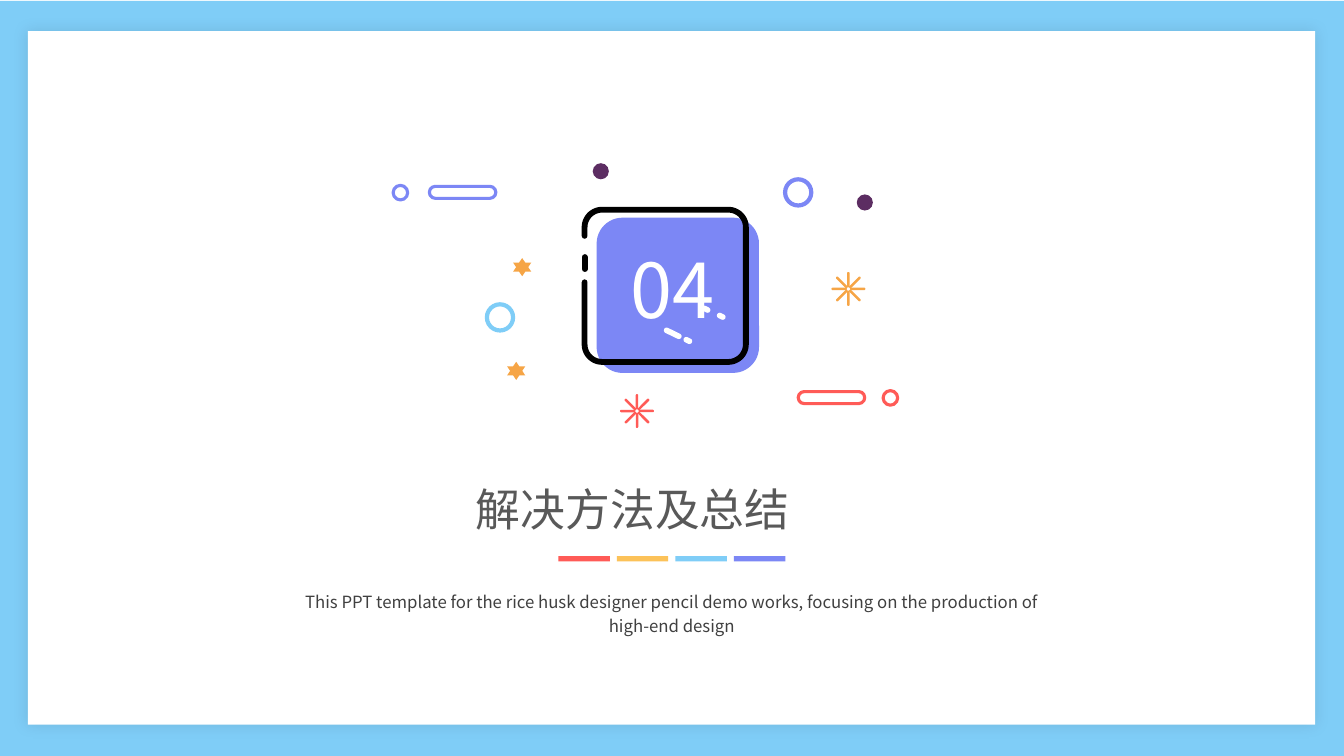
from math import cos, radians, sin

from lxml import etree
from pptx import Presentation
from pptx.dml.color import RGBColor
from pptx.enum.shapes import MSO_CONNECTOR, MSO_SHAPE
from pptx.enum.text import MSO_ANCHOR, MSO_AUTO_SIZE, PP_ALIGN
from pptx.oxml.ns import qn
from pptx.util import Pt

RECTANGLE, ROUNDED = MSO_SHAPE.RECTANGLE, MSO_SHAPE.ROUNDED_RECTANGLE
OVAL, STAR = MSO_SHAPE.OVAL, MSO_SHAPE.STAR_6_POINT
STRAIGHT = MSO_CONNECTOR.STRAIGHT
LEFT, CENTER = PP_ALIGN.LEFT, PP_ALIGN.CENTER
TOP, NO_FIT = MSO_ANCHOR.TOP, MSO_AUTO_SIZE.NONE

FONT = "Noto Sans CJK SC"
WHITE = RGBColor(0xFF, 0xFF, 0xFF)
BLACK = RGBColor(0x00, 0x00, 0x00)
SKY = RGBColor(0x7F, 0xCD, 0xF7)
VIOLET = RGBColor(0x7C, 0x87, 0xF5)
RED = RGBColor(0xFF, 0x5B, 0x57)
ORANGE = RGBColor(0xF6, 0xA5, 0x46)
YELLOW = RGBColor(0xFC, 0xC2, 0x59)
PLUM = RGBColor(0x5C, 0x2D, 0x62)
TITLE_GRAY = RGBColor(0x59, 0x59, 0x59)
BODY_GRAY = RGBColor(0x40, 0x40, 0x40)


def add_figure(page, kind, box, fill=None, line=None, width=1, rotation=0, round_ends=False):
    figure = page.shapes.add_shape(kind, *map(Pt, box))
    figure.shadow.inherit = False
    figure.rotation = rotation
    if round_ends:
        figure.adjustments[0] = 0.5
    if fill is None:
        figure.fill.background()
    else:
        figure.fill.solid()
        figure.fill.fore_color.rgb = fill
    if line is None:
        figure.line.fill.background()
    else:
        figure.line.color.rgb = line
        figure.line.width = Pt(width)
    return figure


def write_text(shape, box, text, size, color, align=LEFT, spacing=1.0):
    shape.left, shape.top, shape.width, shape.height = map(Pt, box)
    frame = shape.text_frame
    frame.word_wrap = True
    frame.auto_size = NO_FIT
    frame.vertical_anchor = TOP
    para = frame.paragraphs[0]
    para.alignment = align
    para.line_spacing = spacing
    para.space_before = Pt(0)
    span = para.add_run()
    span.text = text
    span.font.size = Pt(size)
    span.font.bold = False
    span.font.color.rgb = color
    span.font.name = FONT
    etree.SubElement(span.font._element, qn("a:ea"), typeface=FONT)


def add_frame(page, box):
    left, top, width, height = box
    add_figure(page, RECTANGLE, box, SKY)
    panel = add_figure(page, RECTANGLE, (left + 20, top + 21.6, width - 40.5, height - 44), WHITE)
    effects = panel._element.spPr.find(qn("a:effectLst"))
    shadow = etree.SubElement(effects, qn("a:outerShdw"), blurRad=str(Pt(10)), algn="ctr", rotWithShape="0")
    tint = etree.SubElement(shadow, qn("a:srgbClr"), val="000000")
    etree.SubElement(tint, qn("a:alpha"), val="10000")


def style_stroke(stroke):
    stroke.line.color.rgb = BLACK
    stroke.line.width = Pt(4.13)
    stroke.line._ln.set("cap", "rnd")


def add_stroke(page, start, end):
    stroke = page.shapes.add_connector(STRAIGHT, *map(Pt, start + end))
    style_stroke(stroke)
    etree.SubElement(stroke._element.spPr, qn("a:effectLst"))


def add_outline(page, box, radius=12.5):
    left, top, width, height = box
    right, bottom = left + width, top + height
    corners = [
        (left + radius, bottom - radius, 180),
        (right - radius, bottom - radius, 90),
        (right - radius, top + radius, 0),
        (left + radius, top + radius, -90),
    ]
    points = [
        (x + radius * cos(radians(start - step)), y + radius * sin(radians(start - step)))
        for x, y, start in corners
        for step in range(0, 91, 6)
    ]
    points.append((left, top + 18.7))
    builder = page.shapes.build_freeform(Pt(left), Pt(top + 51.8))
    builder.add_line_segments([(Pt(x), Pt(y)) for x, y in points], close=False)
    outline = builder.convert_to_shape()
    outline.shadow.inherit = False
    outline.fill.background()
    style_stroke(outline)
    add_stroke(page, (left, top + 33.8), (left, top + 42.4))
    add_stroke(page, (left + 59, bottom), (left + 79.2, bottom))


def add_badge(page, box, number):
    left, top, width, height = box
    add_figure(page, ROUNDED, box, VIOLET)
    add_outline(page, (left - 8.6, top - 5.7, 115.2, 108.7))
    label = page.shapes.add_textbox(0, 0, 0, 0)
    write_text(label, (left + 17.3, top + 14.4, 82.8, 72.7), number, 54, WHITE)
    for x, y, length in [(74.9, 63.4, 6.5), (85.7, 68.4, 6.5), (47.5, 80.6, 13.7), (61.9, 85.7, 6.5)]:
        add_figure(page, ROUNDED, (left + x, top + y, length, 4), WHITE, rotation=25.9, round_ends=True)


def add_spark(page, center, color):
    for angle in range(0, 360, 45):
        x = center[0] + 6.6 * cos(radians(angle))
        y = center[1] + 6.6 * sin(radians(angle))
        add_figure(page, ROUNDED, (x - 5, y - 0.4, 10, 0.8), ORANGE, color, 1, angle, True)


def add_ornaments(page, box):
    left, top = box[:2]
    for x, y, color in [(67, 100.8, SKY), (280, 11.5, VIOLET)]:
        add_figure(page, OVAL, (left + x, top + y, 18.7, 18.7), line=color, width=3)
    for x, y in [(85.7, 67.7), (81.4, 141.8)]:
        add_figure(page, STAR, (left + x, top + y, 13, 13), ORANGE)
    for x, y in [(331.2, 22.3), (142.6, 0)]:
        add_figure(page, OVAL, (left + x, top + y, 11.5, 11.5), PLUM)
    for bar, ring, y, color in [(25.9, 0, 15.8, VIOLET), (289.4, 350, 162.4, RED)]:
        add_figure(page, ROUNDED, (left + bar, top + y + 0.7, 47.5, 8.6), WHITE, color, 2.25, round_ends=True)
        add_figure(page, OVAL, (left + ring, top + y, 10.4, 10.4), line=color, width=2.25)
    add_spark(page, (left + 174.2, top + 177), RED)
    add_spark(page, (left + 325.2, top + 89.8), ORANGE)


def add_heading(page, box, title, summary):
    left, top, width, height = box
    heading, body = page.placeholders
    for holder in (heading, body):
        holder.element.getparent().append(holder.element)
    write_text(heading, (left + 128.9, top, 295.2, 46), title, 32, TITLE_GRAY)
    write_text(body, (left, top + 75.6, width, 42.5), summary, 12, BODY_GRAY, CENTER, 1.2)
    for index, color in enumerate([RED, YELLOW, SKY, VIOLET]):
        add_figure(page, RECTANGLE, (left + 195 + 41.8 * index, top + 56.7, 36.8, 3.8), color)


def main():
    deck = Presentation()
    deck.slide_width, deck.slide_height = Pt(960), Pt(540)
    page = deck.slides.add_slide(deck.slide_layouts[0])
    add_frame(page, (0, 0.6, 960, 539.4))
    add_badge(page, (426.2, 155.5, 116, 110.9), "04")
    add_ornaments(page, (280.8, 116.6, 360, 190))
    add_heading(
        page,
        (203.8, 340.6, 552.2, 118),
        "解决方法及总结",
        "This PPT template for the rice husk designer pencil demo works, "
        "focusing on the production of high-end design",
    )
    deck.save("out.pptx")


if __name__ == "__main__":
    main()
